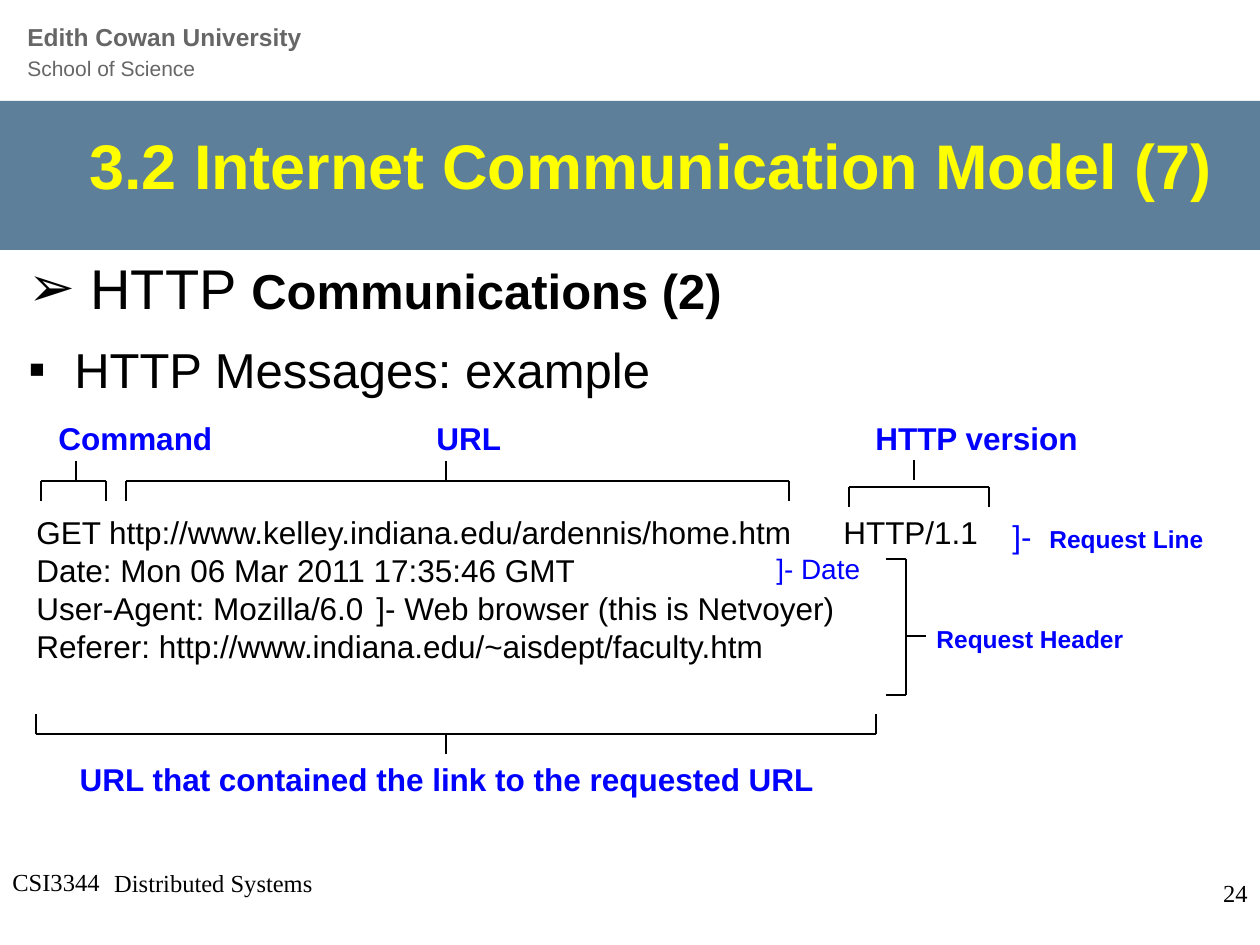
from lxml import etree
from pptx import Presentation, util as u
from pptx.dml.color import RGBColor
from pptx.enum import shapes, text
from pptx.oxml.ns import qn

BLACK = RGBColor(0, 0, 0)
BLUE = RGBColor(0, 0, 255)
YELLOW = RGBColor(255, 255, 0)
GRAY = RGBColor(0x66, 0x66, 0x66)
STEEL = RGBColor(0x5D, 0x7F, 0x9A)
SANS, SERIF = "Arial", "Times New Roman"
LEFT, MID, RIGHT = text.PP_ALIGN.LEFT, text.PP_ALIGN.CENTER, text.PP_ALIGN.RIGHT
TOP, CENTER = text.MSO_ANCHOR.TOP, text.MSO_ANCHOR.MIDDLE


def px(n):
    return u.Emu(round(n * 914400 / 126))


def style(run, size, color=BLACK, bold=False, face=SANS):
    run.font.name, run.font.size = face, u.Pt(size)
    run.font.bold, run.font.color.rgb = bold, color


def label(slide, box, words, size, color=BLACK, bold=False, face=SANS,
          align=LEFT, anchor=TOP, wrap=True):
    frame = slide.shapes.add_textbox(*map(px, box)).text_frame
    frame.text = words
    frame.word_wrap, frame.vertical_anchor = wrap, anchor
    for para in frame.paragraphs:
        para.alignment = align
        for run in para.runs:
            style(run, size, color, bold, face)
    return frame


def tabs(para, *stops):
    items = etree.SubElement(para._p.get_or_add_pPr(), qn("a:tabLst"))
    for stop in stops:
        etree.SubElement(items, qn("a:tab"), pos=str(px(stop)), algn="l")


def bullet(para, mark, indent):
    props = para._p.get_or_add_pPr()
    props.set("marL", str(px(indent)))
    props.set("indent", str(-px(indent)))
    etree.SubElement(props, qn("a:buFont"), typeface=SANS)
    etree.SubElement(props, qn("a:buChar"), char=mark)


def line(slide, start, end):
    item = slide.shapes.add_connector(
        shapes.MSO_CONNECTOR.STRAIGHT, *map(px, start + end))
    item.line.color.rgb, item.line.width = BLACK, u.Pt(1)
    etree.SubElement(item._element.spPr, qn("a:effectLst"))


def brace(slide, low, high, spine, mid, side, gap=0, flip=False):
    """Spine from low to high, end ticks on one side, stem on the other."""
    tick, base = spine - side * 20, spine + side * gap
    for a, b in (((low, spine), (high, spine)),
                 ((low, spine), (low, tick)),
                 ((high, spine), (high, tick)),
                 ((mid, base), (mid, base + side * 20))):
        line(slide, a[::-1] if flip else a, b[::-1] if flip else b)


def header(slide, x, y):
    band = slide.shapes.add_shape(
        shapes.MSO_SHAPE.RECTANGLE, px(x), px(y + 101), px(1260), px(149))
    band.shadow.inherit = False
    band.fill.solid()
    band.fill.fore_color.rgb = STEEL
    band.line.fill.background()
    para = label(slide, (x + 15, y + 16, 742, 72),
                 "Edith Cowan University\vSchool of Science", 14, GRAY).paragraphs[0]
    para.line_spacing = u.Pt(16.7)
    style(para.runs[0], 14, GRAY, True)
    style(para.runs[1], 12, GRAY)
    label(slide, (x + 43, y + 116, 1182, 96), "3.2 Internet Communication Model (7)",
          36, YELLOW, True, align=RIGHT, anchor=CENTER)


def outline(slide, x, y):
    frame = label(slide, (x, y, 903, 160), "HTTP \nHTTP Messages: example", 28)
    first, second = frame.paragraphs
    style(first.runs[0], 32)
    extra = first.add_run()
    extra.text = "Communications (2)"
    style(extra, 28, bold=True)
    second.space_before = u.Pt(11)
    bullet(first, "➢", 62)
    bullet(second, "▪", 46)


def message(slide, x, y):
    # Labels over the request line
    heads = label(slide, (x + 22, y, 1047, 50), "Command\tURL\tHTTP version",
                  18, BLUE, True)
    tabs(heads.paragraphs[0], 378, 817)
    brace(slide, x + 17, x + 82, y + 68, x + 52, -1)
    brace(slide, x + 102, x + 765, y + 68, x + 422, -1)
    brace(slide, x + 825, x + 965, y + 74, x + 890, -1, gap=7)

    # Request text
    body = label(slide, (x, y + 94, 971, 164),
                 "GET http://www.kelley.indiana.edu/ardennis/home.htm\tHTTP/1.1\n"
                 "Date: Mon 06 Mar 2011 17:35:46 GMT\n"
                 "User-Agent: Mozilla/6.0\n"
                 "Referer: http://www.indiana.edu/~aisdept/faculty.htm", 18, wrap=False)
    tabs(body.paragraphs[0], 807)

    # Notes beside the lines
    note = label(slide, (x + 976, y + 98, 226, 50), "]-\t", 18, BLUE).paragraphs[0]
    tabs(note, 37)
    name = note.add_run()
    name.text = "Request Line"
    style(name, 14, BLUE, True)
    label(slide, (x + 740, y + 132, 122, 47), "]- Date", 16, BLUE)
    label(slide, (x + 340, y + 170, 510, 50), "]- Web browser (this is Netvoyer)", 18)
    brace(slide, y + 146, y + 282, x + 882, y + 223, 1, flip=True)
    label(slide, (x + 900, y + 205, 230, 43), "Request Header", 14, BLUE, True)

    # Referer link
    brace(slide, x + 12, x + 852, y + 321, x + 422, 1)
    label(slide, (x + 33, y + 341, 780, 50),
          "URL that contained the link to the requested URL", 18, BLUE, True,
          align=MID)


def footer(slide, x, y):
    label(slide, (x, y + 12, 262, 63), "CSI3344", 14, face=SERIF)
    label(slide, (x + 14, y, 399, 68), "Distributed Systems", 14, face=SERIF,
          align=MID, anchor=CENTER)
    label(slide, (x + 998, y + 12, 262, 63), "24", 14, face=SERIF,
          align=RIGHT, anchor=CENTER)


def main():
    deck = Presentation()
    deck.slide_width, deck.slide_height = px(1260), px(945)
    slide = deck.slides.add_slide(deck.slide_layouts[6])
    header(slide, 0, 0)
    outline(slide, 16, 247)
    message(slide, 24, 413)
    footer(slide, 0, 849)
    deck.save("out.pptx")


if __name__ == "__main__":
    main()
